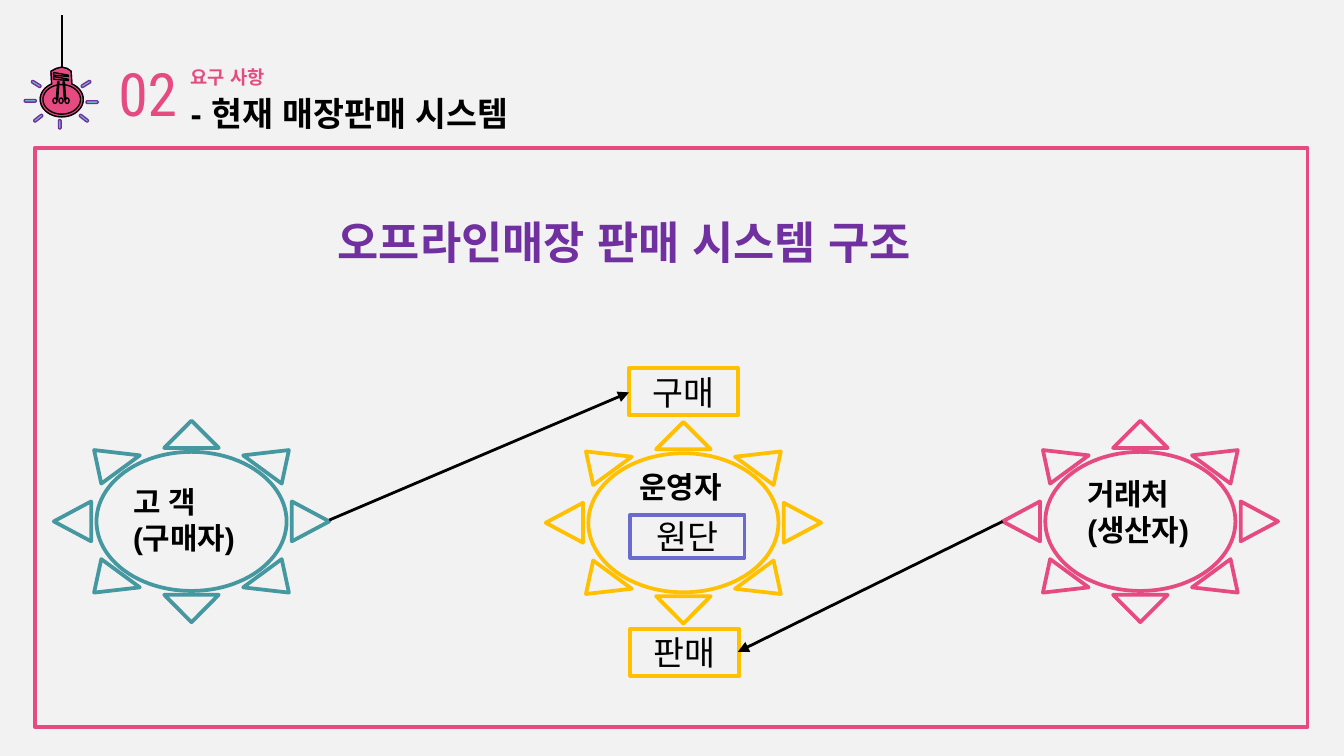
import math

from pptx import Presentation
from pptx.dml.color import RGBColor
from pptx.enum.shapes import MSO_CONNECTOR, MSO_SHAPE
from pptx.enum.text import MSO_ANCHOR, MSO_AUTO_SIZE, PP_ALIGN
from pptx.oxml.ns import qn
from pptx.util import Inches, Pt
from lxml import etree

RECT, SUN = MSO_SHAPE.RECTANGLE, MSO_SHAPE.SUN
STRAIGHT = MSO_CONNECTOR.STRAIGHT
LEFT, CENTER = PP_ALIGN.LEFT, PP_ALIGN.CENTER
TOP, MIDDLE = MSO_ANCHOR.TOP, MSO_ANCHOR.MIDDLE
TITLE_ONLY = 5

PINK, PURPLE, BLACK = "E54B81", "7030A0", "000000"
YELLOW, TEAL, BLUE = "FFC000", "4597A0", "6B6BCF"
RAY_FILL, BACKGROUND = "72BFC5", "F2F2F2"


def rgb(value):
    return RGBColor.from_string(value)


def style(shape, line, width, fill=None):
    shape.shadow.inherit = False
    if fill:
        shape.fill.solid()
        shape.fill.fore_color.rgb = rgb(fill)
    else:
        shape.fill.background()
    shape.line.color.rgb = rgb(line)
    shape.line.width = Pt(width)


def add_shape(s, kind, box, line):
    shape = s.shapes.add_shape(kind, *map(Inches, box))
    style(shape, line, 2)
    return shape


def write(shape, lines, size, color=BLACK, bold=False, font="Arial",
          align=LEFT, anchor=TOP, autofit=MSO_AUTO_SIZE.SHAPE_TO_FIT_TEXT):
    """Fill a shape with one paragraph per line, without insets."""
    tf = shape.text_frame
    frame = {"word_wrap": True, "auto_size": autofit, "vertical_anchor": anchor,
             "margin_left": 0, "margin_right": 0, "margin_top": 0, "margin_bottom": 0}
    for name, value in frame.items():
        setattr(tf, name, value)
    for i, line in enumerate(lines):
        p = tf.add_paragraph() if i else tf.paragraphs[0]
        p.alignment = align
        r = p.add_run()
        r.text = line
        for name, value in {"size": Pt(size), "bold": bold, "name": font}.items():
            setattr(r.font, name, value)
        r.font.color.rgb = rgb(color)
        etree.SubElement(r._r.get_or_add_rPr(), qn("a:ea"), typeface="Arial")


def add_text(s, box, lines, size, **options):
    write(s.shapes.add_textbox(*map(Inches, box)), lines, size, **options)


def add_title(s, box, text):
    title = s.shapes.title
    for name, value in zip(("left", "top", "width", "height"), box):
        setattr(title, name, Inches(value))
    write(title, [text], 18, bold=True)


def add_label_box(s, box, text, line):
    write(add_shape(s, RECT, box, line), [text], 18, align=CENTER,
          anchor=MIDDLE, autofit=MSO_AUTO_SIZE.NONE)


def add_sun(s, left, top, color):
    sun = add_shape(s, SUN, (left, top, 2.05, 1.5), color)
    sun.adjustments[0] = 0.155


def add_line(s, start, end, width, arrow=False):
    line = s.shapes.add_connector(STRAIGHT, *map(Inches, (*start, *end)))
    line.line.color.rgb = rgb(BLACK)
    line.line.width = Pt(width)
    if arrow:
        ln = line.line._get_or_add_ln()
        etree.SubElement(ln, qn("a:tailEnd"), type="triangle")
    etree.SubElement(line._element.spPr, qn("a:effectLst"))


def add_outline(s, contours, line, fill):
    """Draw closed contours as one freeform."""
    builder = None
    for contour in contours:
        start, *rest = [tuple(map(Inches, point)) for point in contour]
        if builder is None:
            builder = s.shapes.build_freeform(*start)
        else:
            builder.move_to(*start)
        builder.add_line_segments(rest, close=True)
    style(builder.convert_to_shape(), line, 0.75, fill)


def arc(cx, cy, rx, ry, first=0, last=352, step=8):
    return [(cx + rx * math.cos(math.radians(a)), cy + ry * math.sin(math.radians(a)))
            for a in range(first, last + 1, step)]


def capsule(cx, cy, length, angle, radius=0.01):
    """Points of a round-ended bar, turned clockwise by angle."""
    half = length / 2 - radius
    bar = arc(half, 0, radius, radius, -90, 90, 30) + arc(-half, 0, radius, radius, 90, 270, 30)
    cos, sin = math.cos(math.radians(angle)), math.sin(math.radians(angle))
    return [(cx + x * cos - y * sin, cy + x * sin + y * cos) for x, y in bar]


def add_bulb(s):
    """Draw the hanging bulb: glass with neck, inner details, rays and cord."""
    cx, cy = 0.46, 0.74
    neck = [(0.38, 0.53), (0.42, 0.51), (0.46, 0.5), (0.5, 0.51), (0.53, 0.53)]
    bulb = arc(cx, cy, 0.16, 0.13, -62, 242) + neck
    glass = arc(cx, cy, 0.14, 0.11)
    threads = [[(0.4, y), (0.51, y + 0.02), (0.51, y + 0.03), (0.4, y + 0.02)]
               for y in (0.54, 0.57)]
    wires = [[(x, 0.61), (x + 0.01, 0.61), (foot + 0.01, 0.74), (foot, 0.74)]
             for x, foot in ((0.43, 0.42), (0.47, 0.48))]
    loops = [arc(x, 0.75, 0.015, 0.02, step=32) for x in (0.41, 0.455, 0.5)]
    add_outline(s, [bulb], PURPLE, PINK)
    add_outline(s, [bulb, glass, *threads, *wires, *loops], BLACK, PINK)

    rays = [(0.685, 0.76, 0.09, 0), (0.445, 0.925, 0.07, 90), (0.225, 0.75, 0.09, 0),
            (0.27, 0.625, 0.08, 32), (0.64, 0.625, 0.08, -32),
            (0.285, 0.88, 0.08, -38), (0.625, 0.88, 0.08, 38)]
    for ray in rays:
        add_outline(s, [capsule(*ray)], PURPLE, RAY_FILL)
    add_line(s, (cx, 0.5), (cx, 0.11), 1)


def main():
    prs = Presentation()
    prs.slide_width, prs.slide_height = Inches(10), Inches(45 / 8)
    s = prs.slides.add_slide(prs.slide_layouts[TITLE_ONLY])
    s.background.fill.solid()
    s.background.fill.fore_color.rgb = rgb(BACKGROUND)

    add_text(s, (0.82, 0.42, 0.56, 0.54), ["02"], 32, color=PINK,
             font="Roboto Condensed", align=CENTER)
    add_text(s, (1.42, 0.49, 2.16, 0.17), ["요구 사항"], 10, color=PINK, bold=True)
    add_title(s, (1.35, 0.69, 2.79, 0.3), " - 현재 매장판매 시스템")
    add_bulb(s)

    add_shape(s, RECT, (0.26, 1.1, 9.47, 4.31), PINK)
    add_text(s, (2.42, 1.6, 5.94, 0.4), [" 오프라인매장 판매 시스템 구조"], 24,
             color=PURPLE, bold=True, font="Noto Sans CJK SC")

    for left, top, color in ((4.06, 3.14, YELLOW), (7.46, 3.13, PINK), (0.4, 3.13, TEAL)):
        add_sun(s, left, top, color)
    roles = [(4.76, 3.49, ["운영자"]), (8.09, 3.54, ["거래처", "(생산자)"]),
             (0.99, 3.6, ["고 객", "(구매자)"])]
    for left, top, lines in roles:
        add_text(s, (left, top, 1.22, 0.27 * len(lines)), lines, 16, bold=True)

    add_label_box(s, (4.69, 3.83, 0.85, 0.32), "원단", BLUE)
    add_label_box(s, (4.68, 2.74, 0.81, 0.35), "구매", YELLOW)
    add_label_box(s, (4.69, 4.68, 0.81, 0.35), "판매", YELLOW)
    add_line(s, (2.45, 3.87), (4.68, 2.92), 1.5, arrow=True)
    add_line(s, (7.46, 3.88), (5.49, 4.85), 1.5, arrow=True)
    prs.save("out.pptx")


if __name__ == "__main__":
    main()
